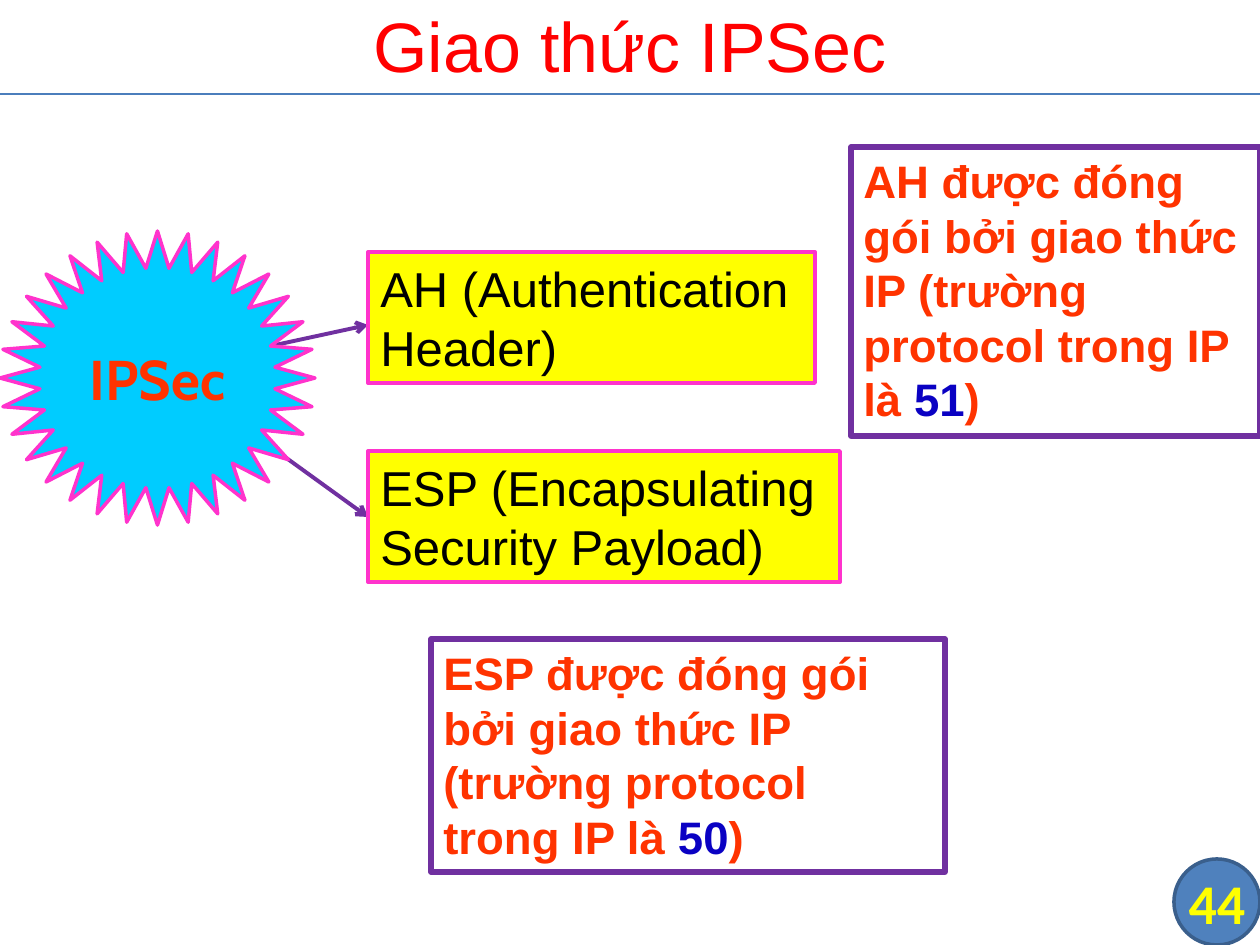
from lxml import etree
from pptx import Presentation
from pptx.dml.color import RGBColor
from pptx.enum.shapes import MSO_CONNECTOR, MSO_SHAPE
from pptx.enum.text import MSO_ANCHOR, PP_ALIGN
from pptx.oxml.ns import qn
from pptx.util import Pt

PX = 914400 / 126
STRAIGHT = MSO_CONNECTOR.STRAIGHT
RECTANGLE, STAR, CIRCLE = MSO_SHAPE.RECTANGLE, MSO_SHAPE.STAR_32_POINT, MSO_SHAPE.FLOWCHART_CONNECTOR
TOP, MIDDLE = MSO_ANCHOR.TOP, MSO_ANCHOR.MIDDLE
LEFT, CENTER = PP_ALIGN.LEFT, PP_ALIGN.CENTER

RED = RGBColor(0xFF, 0x00, 0x00)
ORANGE = RGBColor(0xFF, 0x33, 0x00)
YELLOW = RGBColor(0xFF, 0xFF, 0x00)
WHITE = RGBColor(0xFF, 0xFF, 0xFF)
BLACK = RGBColor(0x00, 0x00, 0x00)
PINK = RGBColor(0xFF, 0x33, 0xCC)
PURPLE = RGBColor(0x70, 0x30, 0xA0)
CYAN = RGBColor(0x00, 0xCC, 0xFF)
NAVY = RGBColor(0x0A, 0x01, 0xC3)
STEEL = RGBColor(0x4F, 0x81, 0xBD)
STEEL_EDGE = RGBColor(0x3A, 0x5F, 0x8C)
RULE = RGBColor(0x4B, 0x7E, 0xBC)

deck = Presentation()
deck.slide_width, deck.slide_height = int(1260 * PX), int(945 * PX)
page = deck.slides.add_slide(deck.slide_layouts[5])


def write(box, spans, size, font, bold=False, align=LEFT, anchor=TOP):
    frame = box.text_frame
    frame.word_wrap = True
    frame.vertical_anchor = anchor
    para = frame.paragraphs[0]
    para.alignment = align
    for text, color in spans:
        span = para.add_run()
        span.text = text
        span.font.size, span.font.name, span.font.bold = Pt(size), font, bold
        span.font.color.rgb = color
    return frame


def add_box(kind, place, fill, edge, weight):
    box = page.shapes.add_shape(kind, *[int(n * PX) for n in place])
    box.shadow.inherit = False
    box.fill.solid()
    box.fill.fore_color.rgb = fill
    box.line.color.rgb = edge
    box.line.width = Pt(weight)
    return box


# Title
title = page.shapes.title
title.left, title.top, title.width, title.height = [int(n * PX) for n in (0, -4, 1260, 98)]
write(title, [("Giao thức IPSec", RED)], 40, "Arial", align=CENTER, anchor=MIDDLE)

# Rule under the title and arrows to the two protocols
for x1, y1, x2, y2, color, weight, arrow in [
    (0, 94, 1260, 94, RULE, 0.75, False),
    (220, 357, 368, 325, PURPLE, 2.25, True),
    (220, 410, 368, 517, PURPLE, 2.25, True),
]:
    line = page.shapes.add_connector(STRAIGHT, *[int(n * PX) for n in (x1, y1, x2, y2)])
    line.line.color.rgb = color
    line.line.width = Pt(weight)
    if arrow:
        etree.SubElement(line.line._get_or_add_ln(), qn("a:tailEnd"), type="arrow")
    etree.SubElement(line._element.spPr, qn("a:effectLst"))

# Protocol boxes
for name, place in [
    ("AH (Authentication Header)", (368, 252, 447, 131)),
    ("ESP (Encapsulating Security Payload)", (368, 451, 472, 131)),
]:
    box = add_box(RECTANGLE, place, YELLOW, PINK, 2.25)
    write(box, [(name, BLACK)], 28, "Arial")

# Notes on the protocol numbers
for name, number, place in [
    ("AH", "51", (851, 147, 409, 289)),
    ("ESP", "50", (431, 639, 514, 233)),
]:
    box = add_box(RECTANGLE, place, WHITE, PURPLE, 3)
    sentence = f"{name} được đóng gói bởi giao thức IP (trường protocol trong IP là "
    write(box, [(sentence, ORANGE), (number, NAVY), (")", ORANGE)], 26, "Arial", bold=True)

# IPSec star and page number badge
for kind, place, fill, edge, text, color, font in [
    (STAR, (0, 231, 315, 294), CYAN, PINK, "IPSec", ORANGE, "Cabin"),
    (CIRCLE, (1174, 859, 86, 86), STEEL, STEEL_EDGE, "44", YELLOW, "Calibri"),
]:
    box = add_box(kind, place, fill, edge, 2)
    frame = write(box, [(text, color)], 32, font, bold=True, align=CENTER, anchor=MIDDLE)
    frame.margin_left = frame.margin_right = frame.margin_top = frame.margin_bottom = 0
    frame.word_wrap = False

deck.save("out.pptx")
